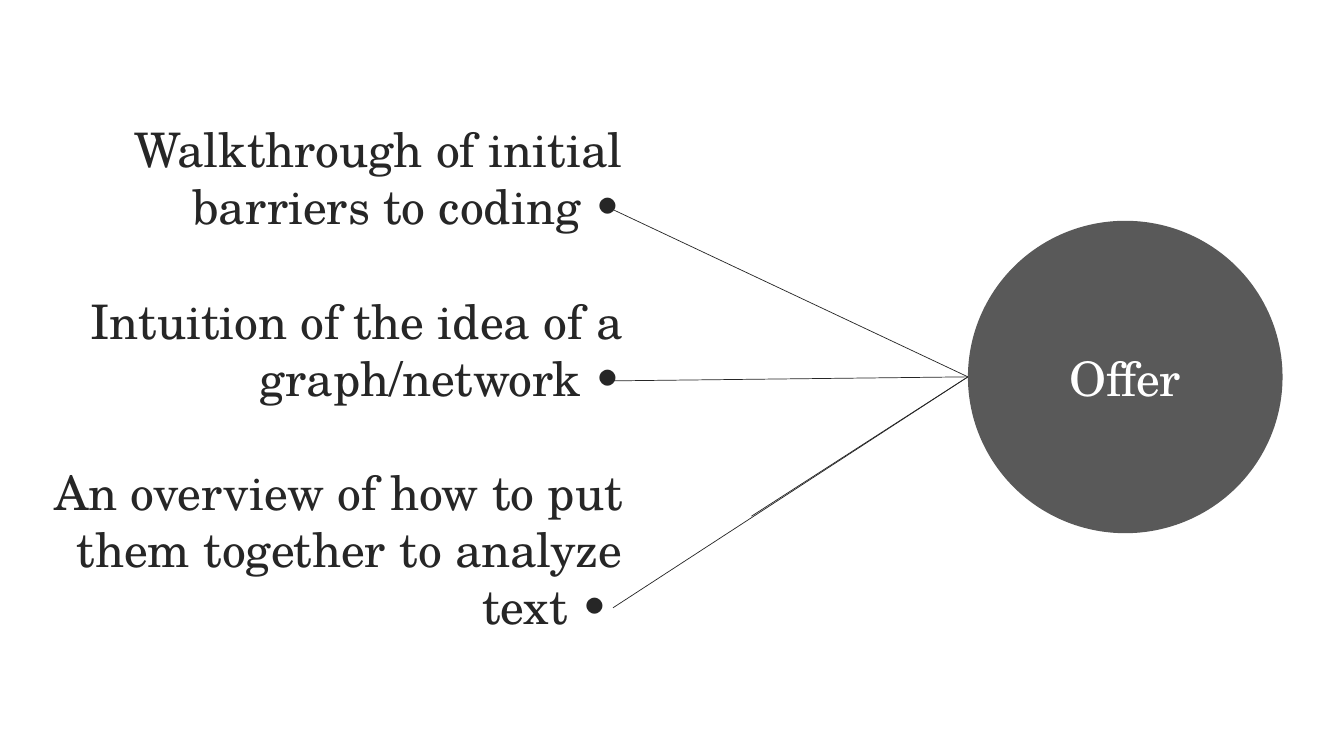
from lxml.etree import SubElement as Sub
from pptx import Presentation
from pptx.dml.color import RGBColor as Rgb
from pptx.enum.shapes import MSO_CONNECTOR as Conn, MSO_SHAPE as Form
from pptx.enum.text import MSO_ANCHOR as Anchor, MSO_AUTO_SIZE as Fit, PP_ALIGN as Align
from pptx.oxml.ns import qn
from pptx.util import Inches, Pt

WIDE, HIGH = Inches(13.33), Inches(7.5)
HUES = {"ink": "262626", "disc": "595959", "pale": "FFFFFF"}
FONT = {"name": "TeX Gyre Schola", "size": Pt(34)}
LIST = {"alignment": Align.RIGHT, "line_spacing": 1.0, "space_before": Pt(0)}
ITEMS = [
    "Walkthrough of initial barriers to coding •",
    "Intuition of the idea of a graph/network •",
    "An overview of how to put them together to analyze text • ",
]
HUB = (1, 0.42)
ENDS = [(0, 0), (0, 0.43), (0, 1), (0.39, 0.77)]


def hue(key):
    """Return the named colour."""
    return Rgb.from_string(HUES[key])


def scale(box):
    """Turn a box in percent of the slide into lengths."""
    return [int(part * side / 100) for part, side in zip(box, (WIDE, HIGH) * 2)]


def style(item, form):
    """Set each format value on an item."""
    for key, value in form.items():
        setattr(item, key, value)


def write(para, text, key):
    """Add one run of text in the slide's font."""
    run = para.add_run()
    run.text = text
    style(run.font, FONT)
    run.font.color.rgb = hue(key)


def points(slide, box):
    """Fill the body placeholder with the right-aligned list."""
    body = slide.placeholders[1]
    style(body, dict(zip(("left", "top", "width", "height"), scale(box))))
    frame = body.text_frame
    style(frame, {"word_wrap": True, "auto_size": Fit.NONE, "vertical_anchor": Anchor.TOP})
    for row, text in enumerate(ITEMS):
        para = frame.add_paragraph() if row else frame.paragraphs[0]
        write(para, text, "ink")
        style(para, LIST)
        if row < len(ITEMS) - 1:
            para.space_after = Pt(41)
        props = para._p.get_or_add_pPr()
        props.set("marL", "0")
        props.set("indent", "0")
        Sub(props, qn("a:buNone"))


def rays(slide, box):
    """Draw the lines that fan out from the hub to the list."""
    left, top, width, height = scale(box)

    def spot(x, y):
        """Place a share of the box on the slide."""
        return int(left + x * width), int(top + y * height)

    for end in ENDS:
        ray = slide.shapes.add_connector(Conn.STRAIGHT, *spot(*HUB), *spot(*end))
        ray.line.width = Pt(0.5)
        ray.line.color.rgb = hue("ink")
        Sub(ray._element.spPr, qn("a:effectLst"))


def disc(slide, box):
    """Draw the labelled circle."""
    ball = slide.shapes.add_shape(Form.OVAL, *scale(box))
    ball.shadow.inherit = False
    ball.fill.solid()
    ball.fill.fore_color.rgb = hue("disc")
    ball.line.fill.background()
    ball.text_frame.vertical_anchor = Anchor.MIDDLE
    para = ball.text_frame.paragraphs[0]
    para.alignment = Align.CENTER
    write(para, "Offer", "pale")


def main():
    """Build and save the slide."""
    deck = Presentation()
    style(deck, {"slide_width": WIDE, "slide_height": HIGH})
    slide = deck.slides.add_slide(deck.slide_layouts[1])
    title = slide.shapes.title.element
    title.getparent().remove(title)
    points(slide, (2.7, 15.2, 44.4, 70))
    rays(slide, (45.61, 27.73, 26.41, 52.67))
    disc(slide, (72.02, 29.2, 23.41, 41.33))
    deck.save("out.pptx")


if __name__ == "__main__":
    main()
